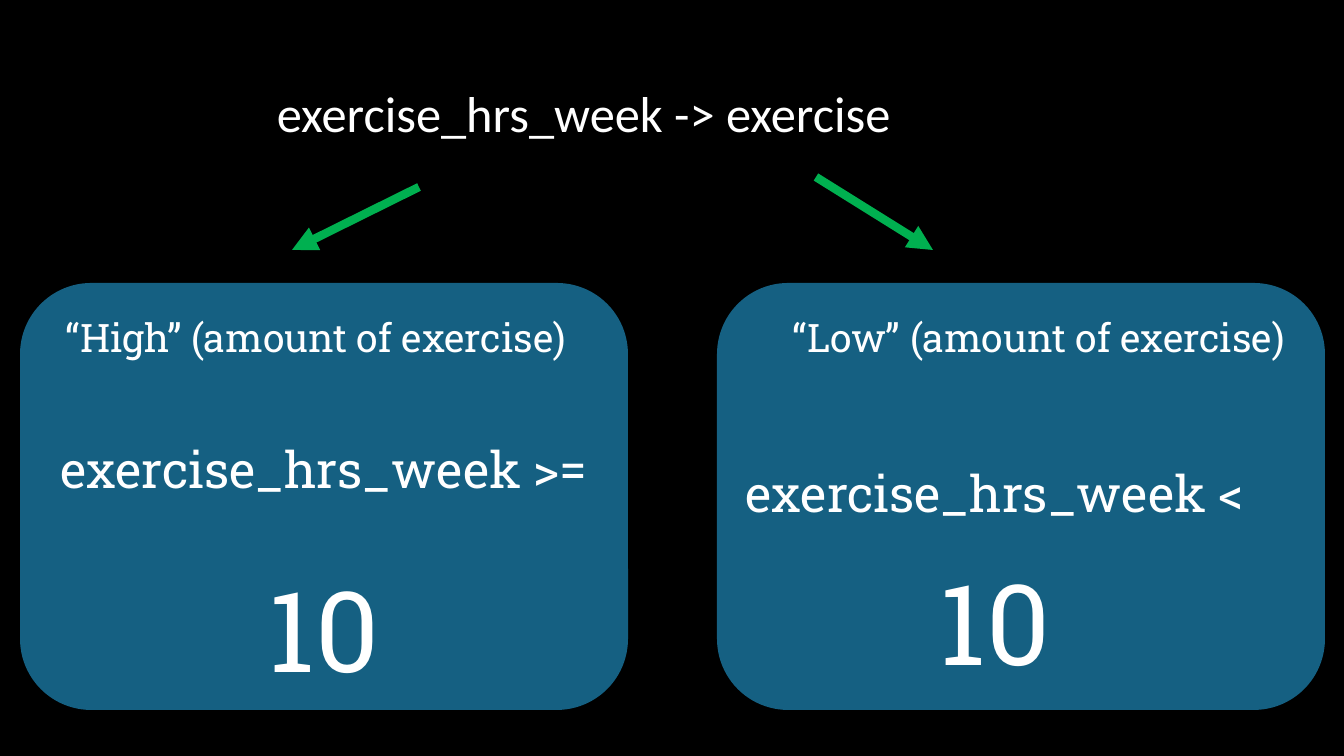
from lxml import etree
from pptx import Presentation
from pptx import util as u
from pptx.dml.color import RGBColor
from pptx.enum import shapes, text
from pptx.oxml.ns import qn

BLACK = RGBColor(0x00, 0x00, 0x00)
WHITE = RGBColor(0xFF, 0xFF, 0xFF)
BLUE = RGBColor(0x15, 0x60, 0x82)
GREEN = RGBColor(0x00, 0xB0, 0x50)
SLAB = "Roboto Slab"

# Content: boxes are (left, top, width, height) in px
TITLE = ("exercise_hrs_week -> exercise", (267, 77, 1332, 72))
GROUPS = [
    {
        "card": (20, 283, 608, 427),
        "label": ("“High” (amount of exercise)", (56, 308, 572, 57)),
        "rule": ("exercise_hrs_week >=", "10", (20, 433, 608, 268)),
        "gap": 44,
        "arrow": (419, 187, 292, 250),
    },
    {
        "card": (717, 283, 608, 427),
        "label": ("“Low” (amount of exercise)", (783, 308, 702, 57)),
        "rule": ("exercise_hrs_week <", "10", (557, 457, 876, 238)),
        "gap": 22,
        "arrow": (816, 177, 933, 250),
    },
]

EMU_PER_PX = 914400 / 100.8


def px(values):
    return [u.Emu(round(value * EMU_PER_PX)) for value in values]


def add_text(slide, box, lines, font_name, align=text.PP_ALIGN.LEFT):
    """Each line is (wording, point size, space before)."""
    text_frame = slide.shapes.add_textbox(*px(box)).text_frame
    text_frame.word_wrap = True
    text_frame.text = "\n".join(line[0] for line in lines)
    for paragraph, (_, size, gap) in zip(text_frame.paragraphs, lines):
        paragraph.alignment = align
        if gap:
            paragraph.space_before = u.Pt(gap)
        font = paragraph.runs[0].font
        font.name = font_name
        font.size = u.Pt(size)
        font.color.rgb = WHITE


def add_card(slide, box):
    card = slide.shapes.add_shape(shapes.MSO_SHAPE.ROUNDED_RECTANGLE, *px(box))
    card.shadow.inherit = False
    card.fill.solid()
    card.fill.fore_color.rgb = BLUE
    card.line.fill.background()


def add_arrow(slide, ends):
    arrow = slide.shapes.add_connector(shapes.MSO_CONNECTOR.STRAIGHT, *px(ends))
    arrow.line.color.rgb = GREEN
    arrow.line.width = u.Pt(6)
    etree.SubElement(arrow.line._get_or_add_ln(), qn("a:tailEnd"), type="triangle")
    etree.SubElement(arrow._element.spPr, qn("a:effectLst"))


def main():
    presentation = Presentation()
    presentation.slide_width, presentation.slide_height = px((1344, 756))
    slide = presentation.slides.add_slide(presentation.slide_layouts[6])
    slide.background.fill.solid()
    slide.background.fill.fore_color.rgb = BLACK

    # Title
    wording, box = TITLE
    add_text(slide, box, [(wording, 36, 0)], "Calibri")

    # One card, label, rule and arrow per group
    for group in GROUPS:
        add_card(slide, group["card"])
        wording, box = group["label"]
        add_text(slide, box, [(wording, 28, 0)], SLAB)
        condition, limit, box = group["rule"]
        lines = [(condition, 36, 0), (limit, 80, group["gap"])]
        add_text(slide, box, lines, SLAB, text.PP_ALIGN.CENTER)
        add_arrow(slide, group["arrow"])

    presentation.save("out.pptx")


if __name__ == "__main__":
    main()
